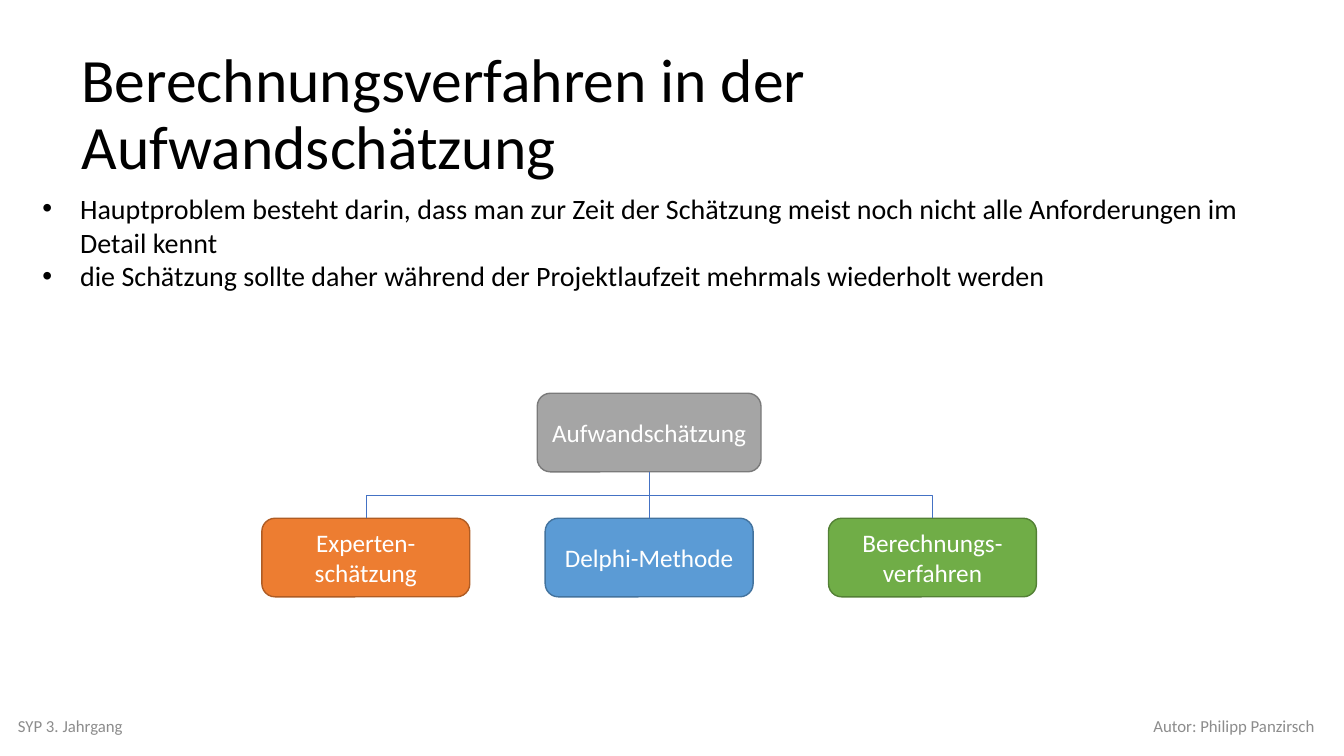
import pptx
import pptx.dml.color
import pptx.enum.shapes
import pptx.enum.text
import pptx.oxml
import pptx.oxml.ns
import pptx.util

Cm = pptx.util.Cm
Pt = pptx.util.Pt
RGBColor = pptx.dml.color.RGBColor
Align = pptx.enum.text.PP_ALIGN
Anchor = pptx.enum.text.MSO_ANCHOR
Connector = pptx.enum.shapes.MSO_CONNECTOR

FONT = "Calibri"
BLACK = RGBColor(0x00, 0x00, 0x00)
WHITE = RGBColor(0xFF, 0xFF, 0xFF)
FOOTER_GRAY = RGBColor(0x8C, 0x8C, 0x8C)
LINK_BLUE = RGBColor(0x44, 0x72, 0xC4)
GRAY, GRAY_EDGE = RGBColor(0xA5, 0xA5, 0xA5), RGBColor(0x7A, 0x7A, 0x7A)
ORANGE, ORANGE_EDGE = RGBColor(0xED, 0x7D, 0x31), RGBColor(0xAF, 0x5C, 0x24)
BLUE, BLUE_EDGE = RGBColor(0x5B, 0x9B, 0xD5), RGBColor(0x43, 0x73, 0x9E)
GREEN, GREEN_EDGE = RGBColor(0x70, 0xAD, 0x47), RGBColor(0x53, 0x80, 0x35)

TREE_CENTER = Cm(16.36)
ROOT_TOP, ROOT_WIDTH = Cm(9.91), Cm(5.64)
METHOD_TOP, METHOD_WIDTH, METHOD_PITCH = Cm(13.06), Cm(5.24), Cm(7.14)
NODE_HEIGHT = Cm(1.98)

METHODS = [
    ("Experten-schätzung", ORANGE, ORANGE_EDGE),
    ("Delphi-Methode", BLUE, BLUE_EDGE),
    ("Berechnungs-verfahren", GREEN, GREEN_EDGE),
]
BULLETS = [
    "Hauptproblem besteht darin, dass man zur Zeit der Schätzung meist noch nicht alle "
    "Anforderungen im Detail kennt",
    "die Schätzung sollte daher während der Projektlaufzeit mehrmals wiederholt werden",
]


def write_paragraph(para, text, size, color, align=Align.LEFT):
    para.text = text
    para.alignment = align
    para.font.name = FONT
    para.font.size = Pt(size)
    para.font.color.rgb = color


def set_title(page, text):
    title = page.shapes.title
    title.left, title.top, title.width, title.height = Cm(1.8), Cm(1.09), Cm(30.73), Cm(3.68)
    frame = title.text_frame
    frame.word_wrap = True
    frame.auto_size = pptx.enum.text.MSO_AUTO_SIZE.NONE
    frame.vertical_anchor = Anchor.MIDDLE
    write_paragraph(frame.paragraphs[0], text, 44, BLACK)
    frame.paragraphs[0].line_spacing = 0.9


def add_text_frame(page, left, top, width, height):
    frame = page.shapes.add_textbox(left, top, width, height).text_frame
    frame.word_wrap = True
    return frame


def add_footer(page, left, text, align):
    frame = add_text_frame(page, left, Cm(17.78), Cm(11.43), Cm(1.02))
    frame.vertical_anchor = Anchor.MIDDLE
    write_paragraph(frame.paragraphs[0], text, 12, FOOTER_GRAY, align)


def add_bullets(page, texts):
    frame = add_text_frame(page, Cm(0.82), Cm(4.7), Cm(32.23), Cm(3.68))
    for index, text in enumerate(texts):
        para = frame.add_paragraph() if index else frame.paragraphs[0]
        write_paragraph(para, text, 20, BLACK)
        properties = para._p.get_or_add_pPr()
        properties.set("marL", str(Cm(0.95)))
        properties.set("indent", str(-Cm(0.95)))
        for tag, name, value in (("a:buFont", "typeface", "Arial"), ("a:buChar", "char", "•")):
            mark = pptx.oxml.parse_xml(f"<{tag} {pptx.oxml.ns.nsdecls('a')}/>")
            mark.set(name, value)
            properties.append(mark)


def add_node(page, center, top, width, text, fill, edge):
    """Add a rounded box of the tree, placed by its horizontal centre."""
    box = page.shapes.add_shape(
        pptx.enum.shapes.MSO_SHAPE.ROUNDED_RECTANGLE,
        center - width // 2, top, width, NODE_HEIGHT)
    box.shadow.inherit = False
    box.fill.solid()
    box.fill.fore_color.rgb = fill
    box.line.color.rgb = edge
    box.line.width = Pt(1)
    frame = box.text_frame
    frame.word_wrap = True
    frame.vertical_anchor = Anchor.MIDDLE
    write_paragraph(frame.paragraphs[0], text, 18, WHITE, Align.CENTER)
    return box


def link_nodes(page, parent, child):
    """Join bottom of parent to top of child, with an elbow if they are not aligned."""
    shift = (child.left + child.width // 2) - (parent.left + parent.width // 2)
    kind = Connector.ELBOW if shift else Connector.STRAIGHT
    link = page.shapes.add_connector(kind, 0, 0, 0, 0)
    link.begin_connect(parent, 2)
    link.end_connect(child, 0)
    link.line.color.rgb = LINK_BLUE
    link.line.width = Pt(0.5)
    properties = link.element.spPr
    properties.append(pptx.oxml.parse_xml(f"<a:effectLst {pptx.oxml.ns.nsdecls('a')}/>"))
    if shift:
        turn_elbow(link, properties.find(pptx.oxml.ns.qn("a:xfrm")), shift)


def turn_elbow(link, transform, shift):
    """Rotate an elbow by a quarter so that it leaves its parent downwards."""
    span, drop = link.width, link.height
    link.left += (span - drop) // 2
    link.top += (drop - span) // 2
    link.width, link.height = drop, span
    transform.set("rot", str((270 if shift > 0 else 90) * 60000))
    transform.set("flipH", "1" if shift > 0 else "0")


def add_tree(page):
    root = add_node(page, TREE_CENTER, ROOT_TOP, ROOT_WIDTH, "Aufwandschätzung", GRAY, GRAY_EDGE)
    for index, (text, fill, edge) in enumerate(METHODS):
        center = TREE_CENTER + (index - 1) * METHOD_PITCH
        method = add_node(page, center, METHOD_TOP, METHOD_WIDTH, text, fill, edge)
        link_nodes(page, root, method)


def main():
    deck = pptx.Presentation()
    deck.slide_width, deck.slide_height = Cm(33.87), Cm(19.05)
    page = deck.slides.add_slide(deck.slide_layouts.get_by_name("Title Only"))
    set_title(page, "Berechnungsverfahren in der Aufwandschätzung")
    add_footer(page, Cm(0.2), "SYP 3. Jahrgang", Align.LEFT)
    add_footer(page, Cm(21.95), "Autor: Philipp Panzirsch", Align.RIGHT)
    add_tree(page)
    add_bullets(page, BULLETS)
    deck.save("out.pptx")


if __name__ == "__main__":
    main()
